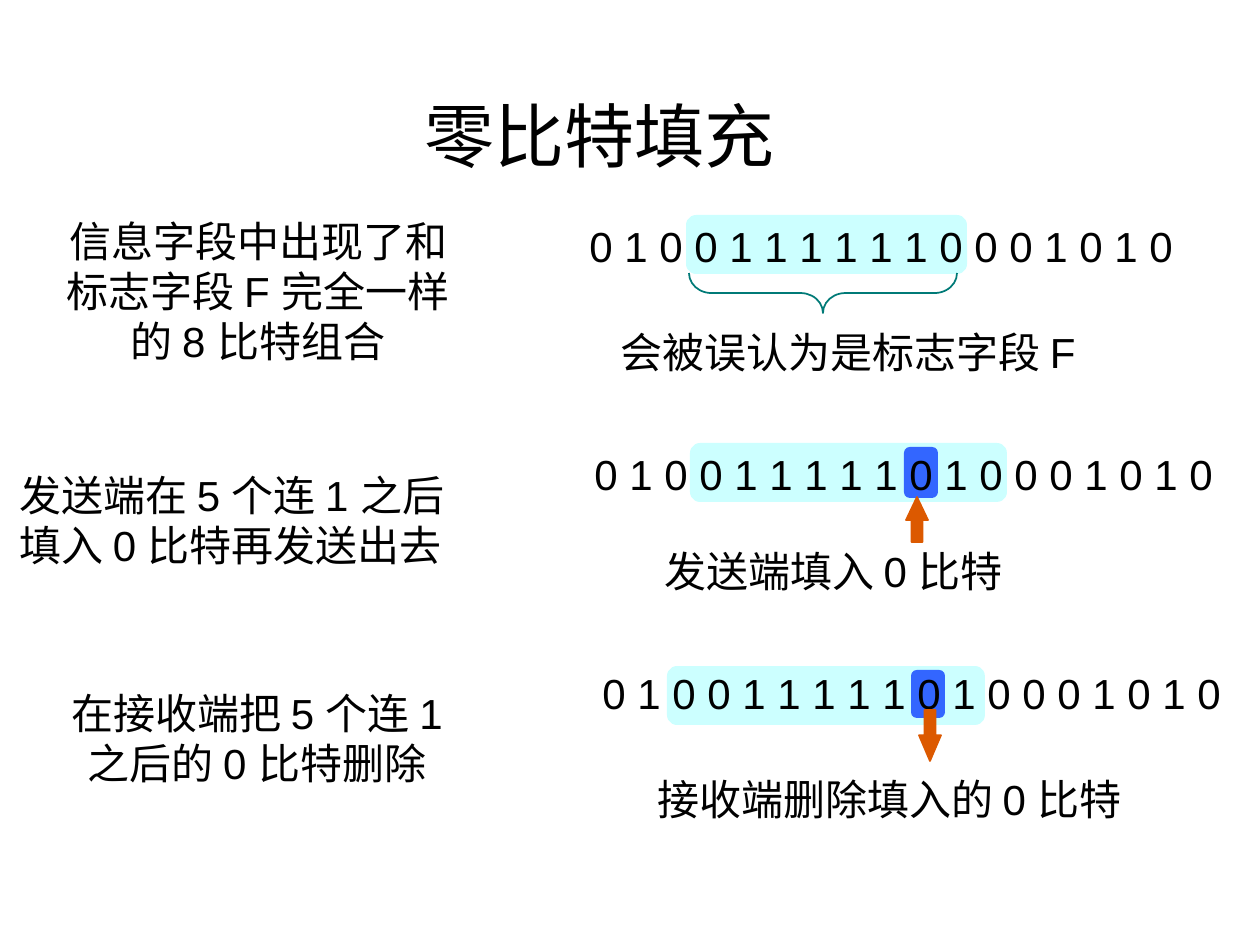
from pptx import Presentation
from pptx.dml.color import RGBColor
from pptx.enum.shapes import MSO_SHAPE as Shape
from pptx.enum.text import MSO_ANCHOR as Anchor, MSO_AUTO_SIZE as AutoSize, PP_ALIGN as Align
from pptx.util import Emu, Pt

COLORS = {
    "text": "000000",
    "frame": "CCFFFF",
    "stuffed": "3366FF",
    "arrow": "DC5900",
    "brace": "007A77",
}
EMU_PER_PX = 914400 / 126


def px(*lengths):
    return [Emu(round(length * EMU_PER_PX)) for length in lengths]


def color(name):
    return RGBColor.from_string(COLORS[name])


def write(box, text, size=24, font="Arial", align=Align.LEFT):
    frame = box.text_frame
    frame.word_wrap = False
    frame.auto_size = AutoSize.SHAPE_TO_FIT_TEXT
    frame.vertical_anchor = Anchor.TOP
    for index, line in enumerate(text.split("\n")):
        para = frame.paragraphs[0] if index == 0 else frame.add_paragraph()
        para.alignment = align
        span = para.add_run()
        span.text = line
        span.font.size = Pt(size)
        span.font.name = font
        span.font.color.rgb = color("text")


class Painter:
    def __init__(self, deck):
        self.page = deck.slides.add_slide(deck.slide_layouts[5])

    def title(self, text, left, top, width, height):
        box = self.page.shapes.title
        box.left, box.top, box.width, box.height = px(left, top, width, height)
        write(box, text, size=40, font="Karla")

    def text(self, text, left, top, width, height, **style):
        write(self.page.shapes.add_textbox(*px(left, top, width, height)), text, **style)

    def shape(self, kind, area, adjustments, fill=None, line=None):
        shape = self.page.shapes.add_shape(kind, *px(*area))
        shape.shadow.inherit = False
        for index, value in enumerate(adjustments):
            shape.adjustments[index] = value
        if fill:
            shape.fill.solid()
            shape.fill.fore_color.rgb = color(fill)
        else:
            shape.fill.background()
        if line:
            shape.line.color.rgb = color(line)
            shape.line.width = Pt(1)
        else:
            shape.line.fill.background()
        return shape

    def highlight(self, area, fill):
        self.shape(Shape.ROUNDED_RECTANGLE, area, [0.17], fill=fill)

    def arrow(self, kind, area, head):
        self.shape(kind, area, [0.5, head], fill="arrow", line="arrow")

    def brace(self, area):
        self.shape(Shape.LEFT_BRACE, area, [0.56, 0.5], line="brace").rotation = 270


def main():
    deck = Presentation()
    deck.slide_width, deck.slide_height = px(1260, 945)
    painter = Painter(deck)
    painter.title("零比特填充", 412, 86, 380, 97)

    stuffed_bits = "0 1 0 0 1 1 1 1 1 0 1 0 0 0 1 0 1 0"
    for bits, area, frame, stuffed in (
        ("0 1 0 0 1 1 1 1 1 1 0 0 0 1 0 1 0", (577, 214, 612, 63), (686, 215, 281, 59), None),
        (stuffed_bits, (582, 442, 647, 63), (690, 443, 317, 59), (904, 447, 34, 51)),
        (stuffed_bits, (590, 661, 647, 63), (667, 666, 318, 59), (911, 670, 34, 48)),
    ):
        painter.highlight(frame, "frame")
        if stuffed:
            painter.highlight(stuffed, "stuffed")
        painter.text(bits, *area)

    painter.text("信息字段中出现了和\n标志字段 F 完全一样\n的 8 比特组合", 41, 209, 434, 164, align=Align.CENTER)
    painter.text("发送端在 5 个连 1 之后\n填入 0 比特再发送出去", 7, 463, 496, 113)
    painter.text("在接收端把 5 个连 1\n之后的 0 比特删除", 41, 681, 432, 113, align=Align.CENTER)

    painter.text("会被误认为是标志字段 F", 608, 320, 507, 63)
    painter.text("发送端填入 0 比特", 652, 539, 389, 63)
    painter.text("接收端删除填入的 0 比特", 645, 767, 515, 63)

    painter.brace((803, 159, 40, 268))
    painter.arrow(Shape.UP_ARROW, (906, 497, 22, 45), 1.05)
    painter.arrow(Shape.DOWN_ARROW, (919, 710, 22, 51), 1.17)
    deck.save("out.pptx")


if __name__ == "__main__":
    main()
